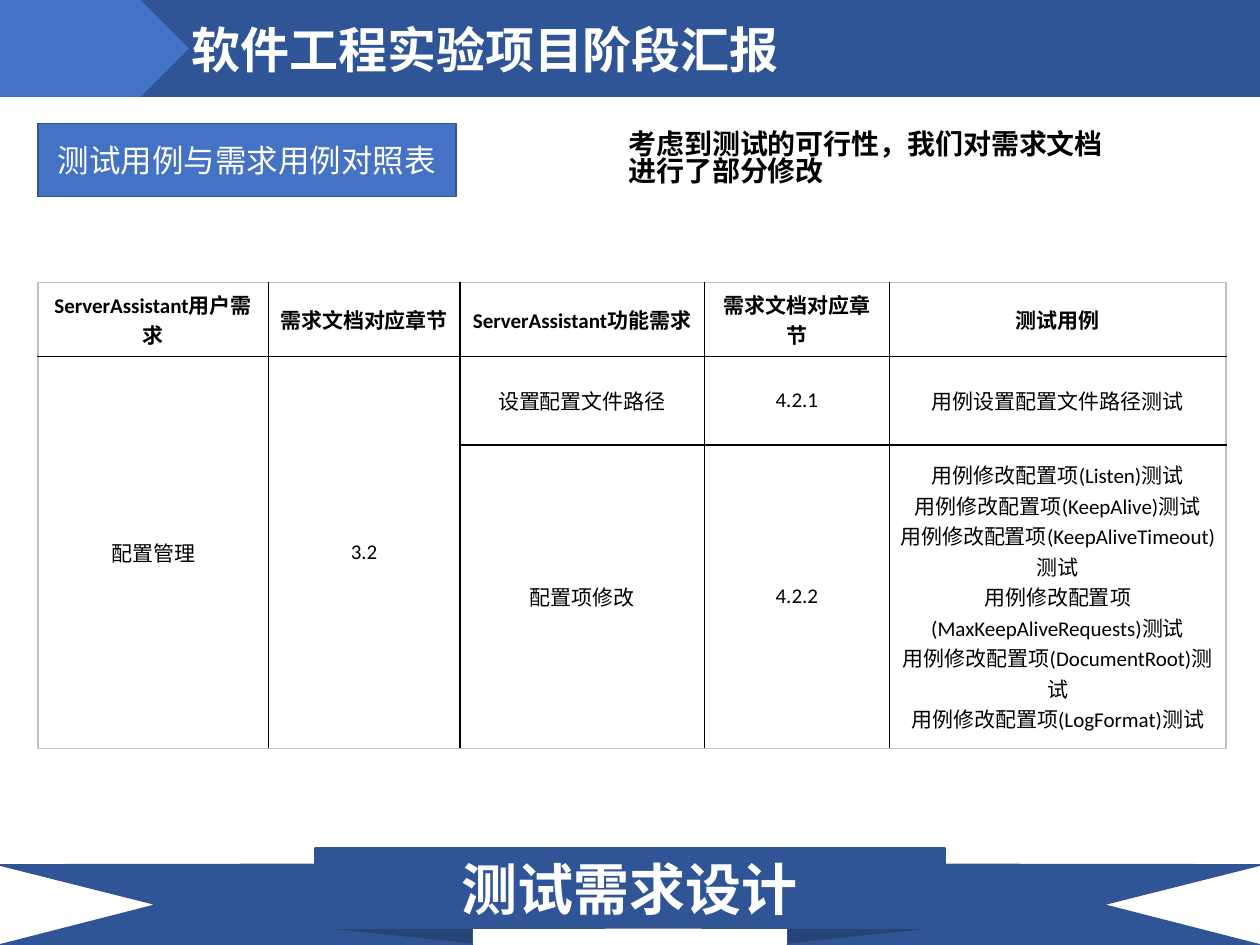
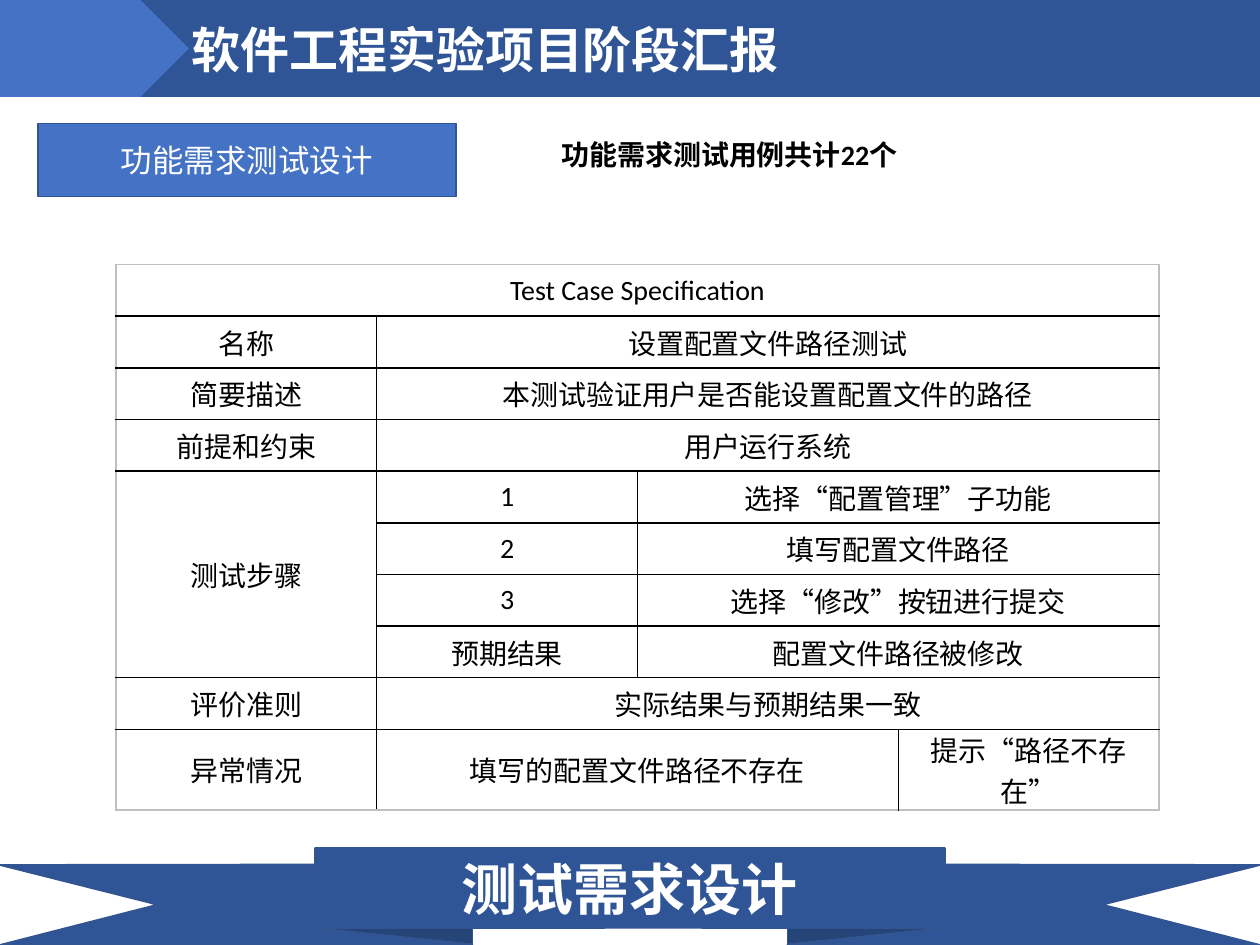
from lxml import etree
from pptx import Presentation
from pptx.dml.color import RGBColor
from pptx.enum import shapes, text
from pptx.oxml import ns
from pptx.util import Inches, Pt

NAVY, BLUE, EDGE = "2F5597", "4472C4", "325491"
WHITE, BLACK, GRAY = "FFFFFF", "000000", "C0C0C0"
FONT = "Calibri"
BAND_HEIGHT = 0.77
MIDDLE = text.MSO_ANCHOR.MIDDLE
LEFT, CENTER = text.PP_ALIGN.LEFT, text.PP_ALIGN.CENTER

CASE_HEADERS = ["ServerAssistant用户需求", "需求文档对应章节", "ServerAssistant功能需求",
                "需求文档对应章节", "测试用例"]
CONFIG_ITEMS = ["Listen", "KeepAlive", "KeepAliveTimeout", "MaxKeepAliveRequests",
                "DocumentRoot", "LogFormat"]
CASE_ROWS = [
    CASE_HEADERS,
    ["配置管理", "3.2", "设置配置文件路径", "4.2.1", "用例设置配置文件路径测试"],
    ["", "", "配置项修改", "4.2.2",
     "\n".join(f"用例修改配置项({item})测试" for item in CONFIG_ITEMS)],
]
CASE_MERGES = [(1, 0, 2, 0), (1, 1, 2, 1)]

SPEC_ROWS = [
    ["Test Case Specification", "", "", ""],
    ["名称", "设置配置文件路径测试", "", ""],
    ["简要描述", "本测试验证用户是否能设置配置文件的路径", "", ""],
    ["前提和约束", "用户运行系统", "", ""],
    ["测试步骤", "1", "选择“配置管理”子功能", ""],
    ["", "2", "填写配置文件路径", ""],
    ["", "3", "选择“修改”按钮进行提交", ""],
    ["", "预期结果", "配置文件路径被修改", ""],
    ["评价准则", "实际结果与预期结果一致", "", ""],
    ["异常情况", "填写的配置文件路径不存在", "", "提示“路径不存在”"],
]
SPEC_MERGES = ([(0, 0, 0, 3), (4, 0, 7, 0), (9, 1, 9, 2)]
               + [(row, 1, row, 3) for row in (1, 2, 3, 8)]
               + [(row, 2, row, 3) for row in range(4, 8)])


def rgb(value):
    return RGBColor.from_string(value)


def paint(sp, fill, line=None):
    sp.fill.solid()
    sp.fill.fore_color.rgb = rgb(fill)
    if line:
        sp.line.color.rgb = rgb(line)
        sp.line.width = Pt(1)
    else:
        sp.line.fill.background()


def write(tf, content, size, color=BLACK, bold=False, align=CENTER, font=FONT):
    tf.text = content
    for p in tf.paragraphs:
        p.alignment = align
        for r in p.runs:
            r.font.name = font
            r.font.size = Pt(size)
            r.font.bold = bold
            r.font.color.rgb = rgb(color)


def add_block(s, kind, box, fill, line=None):
    sp = s.shapes.add_shape(kind, *map(Inches, box))
    sp.shadow.inherit = False
    paint(sp, fill, line)
    sp.text_frame.vertical_anchor = MIDDLE
    return sp


def add_header(s):
    title = s.shapes.title
    title.left, title.top, title.width, title.height = map(Inches, (0.92, 0, 9.08, BAND_HEIGHT))
    paint(title, NAVY)
    tf = title.text_frame
    tf.auto_size = text.MSO_AUTO_SIZE.NONE
    tf.vertical_anchor = MIDDLE
    tf.margin_left = Inches(0.6)
    write(tf, "软件工程实验项目阶段汇报", 28, WHITE, True, LEFT, "Arial")
    add_block(s, shapes.MSO_SHAPE.PENTAGON, (0, 0, 1.5, BAND_HEIGHT), BLUE)


def add_ribbon(s):
    sp = add_block(s, shapes.MSO_SHAPE.CURVED_UP_RIBBON,
                   (0, 7.5 - BAND_HEIGHT, 10, BAND_HEIGHT), NAVY, EDGE)
    for i, value in enumerate((0.176, 0.5, 0.006)):
        sp.adjustments[i] = value
    write(sp.text_frame, "测试需求设计", 32, WHITE, True)


def add_section(s, label):
    sp = add_block(s, shapes.MSO_SHAPE.RECTANGLE, (0.3, 0.98, 3.32, 0.58), BLUE, EDGE)
    write(sp.text_frame, label, 18, WHITE)


def add_remark(s, content, left, top, height):
    tf = s.shapes.add_textbox(*map(Inches, (left, top, 4.06, height))).text_frame
    tf.word_wrap = True
    write(tf, content, 16, bold=True, align=LEFT)
    tf.paragraphs[0].line_spacing = 0.82


def set_borders(cell, outer):
    tcPr = cell._tc.get_or_add_tcPr()
    for i, (side, is_outer) in enumerate(zip("LRTB", outer)):
        ln = etree.Element(ns.qn(f"a:ln{side}"), w=str(Pt(1)))
        fill = etree.SubElement(ln, ns.qn("a:solidFill"))
        etree.SubElement(fill, ns.qn("a:srgbClr"), val=GRAY if is_outer else BLACK)
        tcPr.insert(i, ln)


def add_grid(s, rows, merges, left, top, widths, heights, size, bold_header=False):
    row_count, col_count = len(rows), len(widths)
    box = map(Inches, (left, top, sum(widths), sum(heights)))
    table = s.shapes.add_table(row_count, col_count, *box).table
    table.first_row = table.horz_banding = False
    for col, width in zip(table.columns, widths):
        col.width = Inches(width)
    for row, height in zip(table.rows, heights):
        row.height = Inches(height)
    for r1, c1, r2, c2 in merges:
        table.cell(r1, c1).merge(table.cell(r2, c2))
    for i, row in enumerate(rows):
        for j, content in enumerate(row):
            cell = table.cell(i, j)
            cell.fill.background()
            cell.vertical_anchor = MIDDLE
            cell.margin_left = cell.margin_right = Inches(0.07)
            cell.margin_top = cell.margin_bottom = 0
            if not cell.is_spanned:
                write(cell.text_frame, content, size, bold=bold_header and i == 0)
            set_borders(cell, (j == 0, j + cell.span_width == col_count,
                               i == 0, i + cell.span_height == row_count))


def add_base(prs, section):
    s = prs.slides.add_slide(prs.slide_layouts[5])
    add_header(s)
    add_ribbon(s)
    add_section(s, section)
    return s


def main():
    prs = Presentation()
    prs.slide_width, prs.slide_height = Inches(10), Inches(7.5)

    s = add_base(prs, "测试用例与需求用例对照表")
    add_grid(s, CASE_ROWS, CASE_MERGES, 0.3, 2.24, (1.83, 1.52, 1.94, 1.47, 2.67),
             (0.59, 0.7, 2.41), 12, bold_header=True)
    add_remark(s, "考虑到测试的可行性，我们对需求文档进行了部分修改", 4.89, 1, 0.64)

    s = add_base(prs, "功能需求测试设计")
    add_grid(s, SPEC_ROWS, SPEC_MERGES, 0.92, 2.1, [2.07] * 4, [0.41] * len(SPEC_ROWS), 16)
    add_remark(s, "功能需求测试用例共计22个", 4.36, 1.09, 0.37)

    prs.save("out.pptx")


if __name__ == "__main__":
    main()
